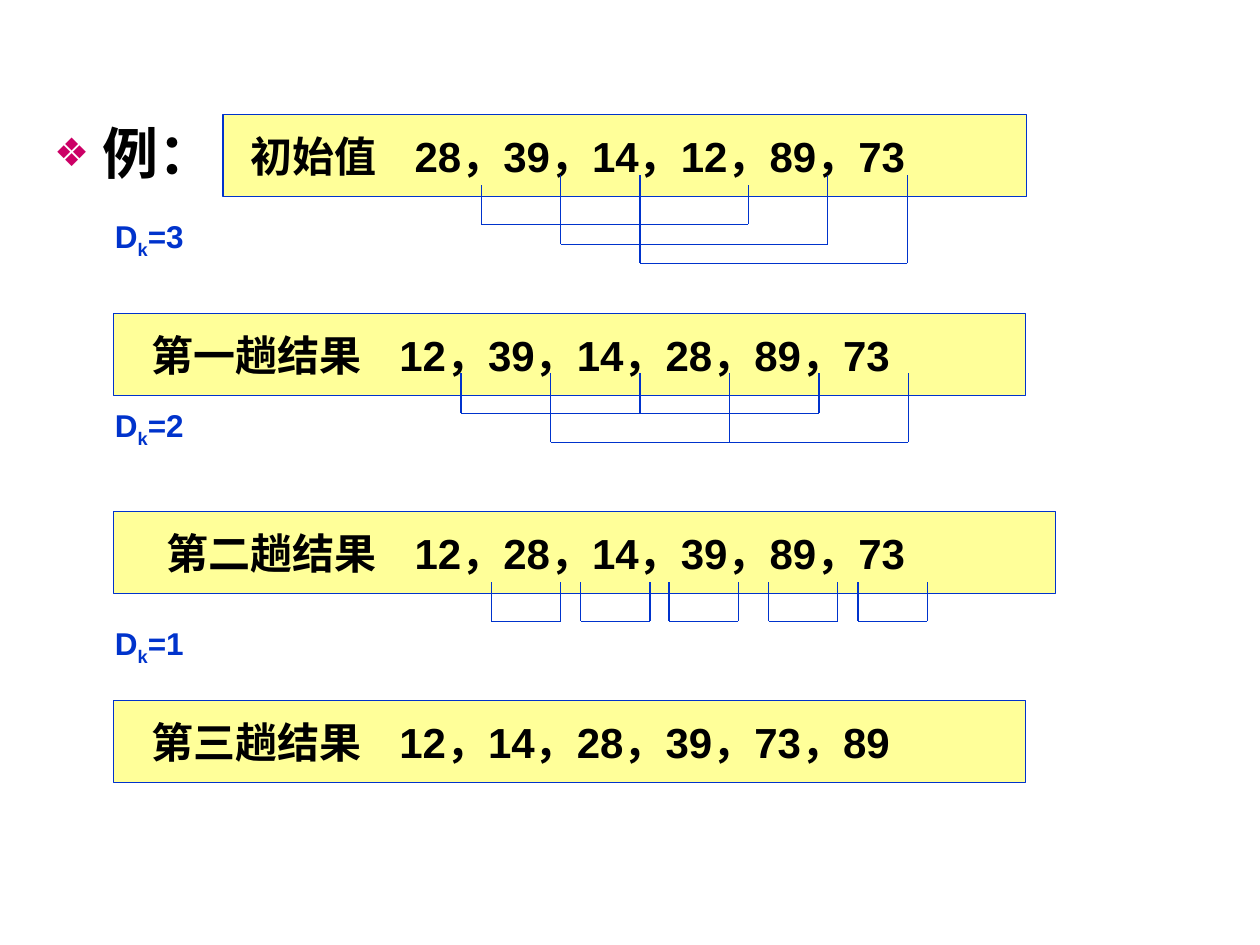
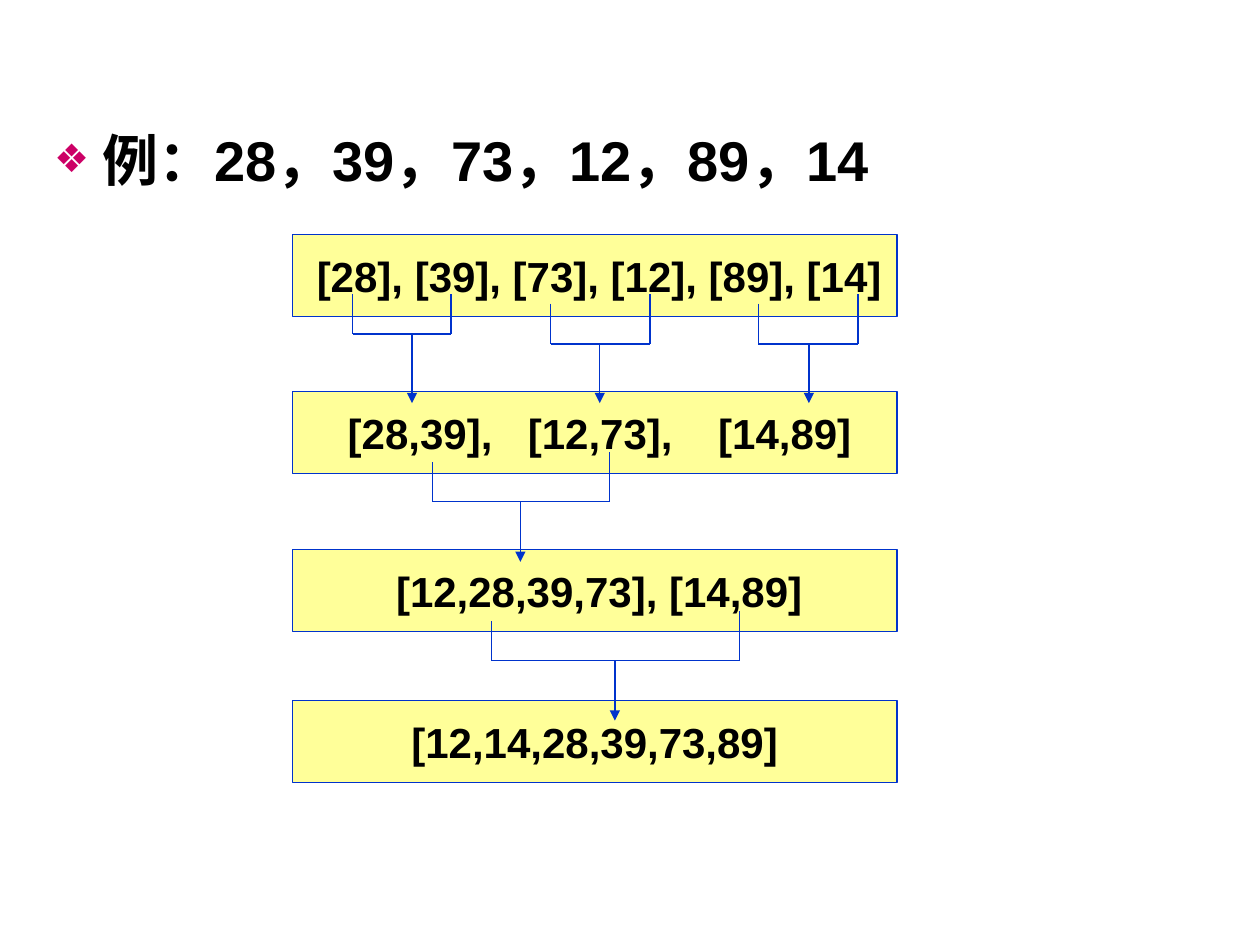
"""Build two slides tracing a Shell sort and a merge sort."""
from lxml import etree
from pptx import Presentation
from pptx import util as u
from pptx.dml.color import RGBColor
from pptx.enum import shapes, text
from pptx.oxml.ns import qn

BLUE, YELLOW, BLACK, PINK = "0033CC", "FFFF99", "000000", "CC0066"
FONT = "Arial"
BOX_H = 0.65


def style(font, size, color):
    font.name, font.size, font.bold = FONT, u.Pt(size), True
    font.color.rgb = RGBColor.from_string(color)


def line(container, x1, y1, x2, y2, arrow=False):
    c = container.add_connector(shapes.MSO_CONNECTOR.STRAIGHT,
                                *map(u.Inches, (x1, y1, x2, y2)))
    c.line.color.rgb = RGBColor.from_string(BLUE)
    c.line.width = u.Pt(0.75)
    if arrow:
        etree.SubElement(c.line._get_or_add_ln(), qn("a:tailEnd"), type="triangle")
    etree.SubElement(c._element.spPr, qn("a:effectLst"))


# Boxes: left, top, width, left inset, tab stops, text
shell_boxes = [
    (1.77, 0.91, 6.38, 0.22, [1.3], "初始值\t28，39，14，12，89，73"),
    (0.9, 2.49, 7.24, 0.3, [1.97], "第一趟结果\t12，39，14，28，89，73"),
    (0.9, 4.06, 7.48, 0.42, [1.97], "第二趟结果\t12，28，14，39，89，73"),
    (0.9, 5.56, 7.24, 0.3, [1.97], "第三趟结果\t12，14，28，39，73，89"),
]
merge_boxes = [
    (2.32, 1.86, 4.8, 0.17, [], "[28], [39], [73], [12], [89], [14]"),
    (2.32, 3.11, 4.8, 0.44, [1.43, 2.94], "[28,39],\t[12,73],\t[14,89]"),
    (2.32, 4.36, 4.8, 0.17, [], "[12,28,39,73], [14,89]"),
    (2.32, 5.56, 4.8, 0.1, [], "[12,14,28,39,73,89]"),
]

# Brackets: left, right, left top, right top, bottom, arrow (x, end) or None
shell_brackets = [(3.82 + 0.63 * i, 5.94 + 0.63 * i, top, top, bottom, None)
                  for i, (top, bottom) in enumerate([(1.47, 1.78), (1.39, 1.94), (1.39, 2.09)])]
shell_brackets += [(3.66 + 0.71 * i, 5.08 + 0.71 * i, 2.96, 2.96, (3.28, 3.51)[i % 2], None)
                   for i in range(4)]
shell_brackets += [(x, x + 0.55, 4.62, 4.62, 4.93, None)
                   for x in (3.9, 4.61, 5.31, 6.1, 6.81)]
merge_brackets = [
    (2.8, 3.58, 2.33, 2.33, 2.65, (3.27, 3.2)),
    (4.37, 5.16, 2.41, 2.33, 2.73, (4.76, 3.2)),
    (6.02, 6.81, 2.41, 2.33, 2.73, (6.42, 3.2)),
    (3.43, 4.84, 3.67, 3.59, 3.98, (4.13, 4.46)),
    (3.9, 5.87, 4.93, 4.85, 5.24, (4.88, 5.72)),
]

shell_steps = [(1.7, "=3"), (3.2, "=2"), (4.93, "=1")]
slides = [
    ("例：", 1.1, shell_boxes, shell_brackets, shell_steps),
    ("例：28，39，73，12，89，14", 1.2, merge_boxes, merge_brackets, []),
]

prs = Presentation()
prs.slide_width, prs.slide_height = u.Inches(10), u.Inches(7.5)

for heading, spacing, boxes, brackets, steps in slides:
    s = prs.slides.add_slide(prs.slide_layouts[1])
    title = s.shapes.title._element
    title.getparent().remove(title)

    body = s.placeholders[1]
    body.left, body.top, body.width, body.height = map(u.Inches, (0.33, 0.84, 9.34, 5.58))
    tf = body.text_frame
    tf.text = heading
    tf.auto_size = text.MSO_AUTO_SIZE.NONE
    tf.vertical_anchor = text.MSO_ANCHOR.TOP
    p = tf.paragraphs[0]
    p.line_spacing, p.space_before = spacing, u.Pt(0)
    pPr = p._p.get_or_add_pPr()
    pPr.set("marL", str(u.Inches(0.38)))
    pPr.set("indent", str(u.Inches(-0.38)))
    etree.SubElement(etree.SubElement(pPr, qn("a:buClr")), qn("a:srgbClr"), val=PINK)
    etree.SubElement(pPr, qn("a:buSzPct"), val="70000")
    etree.SubElement(pPr, qn("a:buFont"), typeface=FONT)
    etree.SubElement(pPr, qn("a:buChar"), char="❖")
    style(p.runs[0].font, 32, BLACK)

    for x, y, w, inset, tabs, label in boxes:
        sp = s.shapes.add_shape(shapes.MSO_SHAPE.RECTANGLE, *map(u.Inches, (x, y, w, BOX_H)))
        sp.shadow.inherit = False
        sp.fill.solid()
        sp.fill.fore_color.rgb = RGBColor.from_string(YELLOW)
        sp.line.color.rgb = RGBColor.from_string(BLUE)
        sp.line.width = u.Pt(0.75)
        tf = sp.text_frame
        tf.text = label
        tf.word_wrap = bool(tabs)
        tf.vertical_anchor = text.MSO_ANCHOR.MIDDLE
        tf.margin_left = u.Inches(inset)
        tf.margin_right = u.Inches(0 if tabs else 0.1)
        p = tf.paragraphs[0]
        p.alignment = text.PP_ALIGN.LEFT if tabs else text.PP_ALIGN.CENTER
        if tabs:
            tab_list = etree.SubElement(p._p.get_or_add_pPr(), qn("a:tabLst"))
            for stop in tabs:
                etree.SubElement(tab_list, qn("a:tab"), pos=str(u.Inches(stop)), algn="l")
        style(p.runs[0].font, 24, BLACK)

    for left, right, left_top, right_top, bottom, arrow in brackets:
        group = s.shapes.add_group_shape().shapes
        line(group, left, left_top, left, bottom)
        line(group, left, bottom, right, bottom)
        line(group, right, bottom, right, right_top)
        if arrow:
            line(group, arrow[0], bottom, *arrow, arrow=True)

    for y, value in steps:
        tf = s.shapes.add_textbox(*map(u.Inches, (0.83, y, 0.71, 0.39))).text_frame
        tf.word_wrap = True
        tf.margin_left = tf.margin_right = 0
        tf.vertical_anchor = text.MSO_ANCHOR.MIDDLE
        p = tf.paragraphs[0]
        p.alignment = text.PP_ALIGN.CENTER
        for part in ("D", "k", value):
            r = p.add_run()
            r.text = part
            style(r.font, 18, BLUE)
        p.runs[1].font._element.set("baseline", "-25000")

prs.save("out.pptx")
